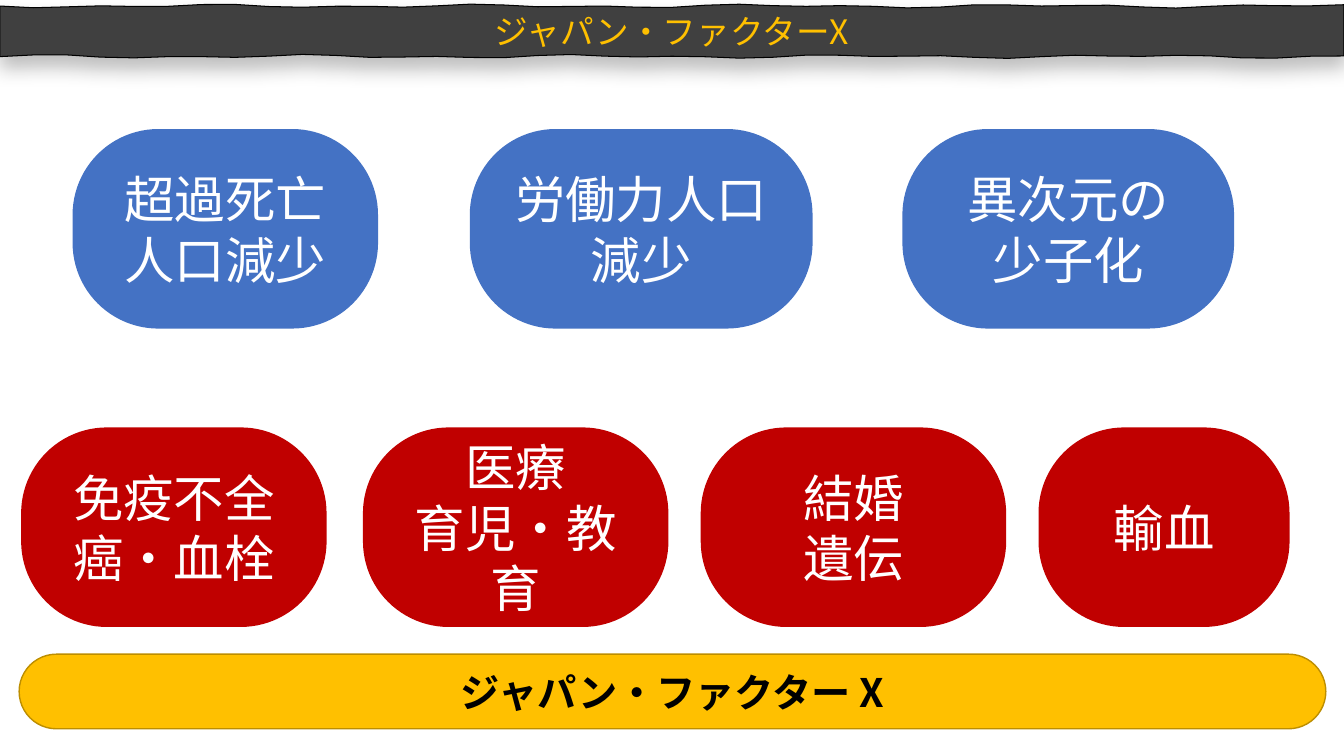
from math import sin

from lxml import etree
from pptx import Presentation
from pptx.dml.color import RGBColor
from pptx.enum.shapes import MSO_SHAPE
from pptx.enum.text import MSO_ANCHOR, PP_ALIGN
from pptx.oxml.ns import qn
from pptx.util import Inches, Pt

ROUNDED = MSO_SHAPE.ROUNDED_RECTANGLE
MIDDLE = MSO_ANCHOR.MIDDLE
CENTER = PP_ALIGN.CENTER

BLUE = RGBColor(0x44, 0x72, 0xC4)
RED = RGBColor(0xC0, 0x00, 0x00)
GOLD = RGBColor(0xFF, 0xC0, 0x00)
DARK_GOLD = RGBColor(0xBD, 0x8E, 0x00)
CHARCOAL = RGBColor(0x40, 0x40, 0x40)
BLACK = RGBColor(0x00, 0x00, 0x00)
WHITE = RGBColor(0xFF, 0xFF, 0xFF)
FONT = "Noto Sans CJK JP"

# Content: each row has a top, a colour and cards of (left, width, lines)
TITLE = "ジャパン・ファクターX"
FOOTER = "ジャパン・ファクター X"
ROWS = [
    (1.28, BLUE, [
        (0.72, 3.03, ["超過死亡", "人口減少"]),
        (4.66, 3.4, ["労働力人口減少"]),
        (8.95, 3.29, ["異次元の", "少子化"]),
    ]),
    (4.24, RED, [
        (0.21, 3.03, ["免疫不全", "癌・血栓"]),
        (3.6, 3.03, ["医療", "育児・教育"]),
        (6.95, 3.03, ["結婚", "遺伝"]),
        (10.3, 2.49, ["輸血"]),
    ]),
]
PAGE_WIDTH, PAGE_HEIGHT = 13.33, 7.5
CARD_HEIGHT = 1.98
BANNER_TOP, BANNER_BOTTOM = 0.06, 0.56
BANNER_STEPS = 40
UNITS_PER_INCH = 1000  # the outline is stored in whole units


def write_lines(shape, lines, size, color, bold=False):
    frame = shape.text_frame
    frame.word_wrap = True
    frame.vertical_anchor = MIDDLE
    for index, line in enumerate(lines):
        para = frame.add_paragraph() if index else frame.paragraphs[0]
        para.alignment = CENTER
        span = para.add_run()
        span.text = line
        span.font.size = Pt(size)
        span.font.bold = bold
        span.font.name = FONT
        span.font.color.rgb = color
        east_asian = etree.SubElement(span.font._element, qn("a:ea"))
        east_asian.set("typeface", FONT)


def paint(shape, fill, line=None, width=1):
    shape.shadow.inherit = False
    shape.fill.solid()
    shape.fill.fore_color.rgb = fill
    if line is None:
        shape.line.fill.background()
    else:
        shape.line.color.rgb = line
        shape.line.width = Pt(width)


def add_rounded(page, left, top, width, height, roundness, *colors):
    box = page.shapes.add_shape(
        ROUNDED, Inches(left), Inches(top), Inches(width), Inches(height))
    box.adjustments[0] = roundness
    paint(box, *colors)
    return box


def wavy_edge(level, phase):
    """Points of a rough edge running from left to right."""
    points = []
    for step in range(BANNER_STEPS + 1):
        x = PAGE_WIDTH * step / BANNER_STEPS
        wave = sin(5 * x + phase) + sin(2.3 * x + 2 * phase)
        y = level + 0.01 * wave
        points.append((round(x * UNITS_PER_INCH), round(y * UNITS_PER_INCH)))
    return points


def add_banner(page):
    outline = wavy_edge(BANNER_TOP, 0) + wavy_edge(BANNER_BOTTOM, 2)[::-1]
    builder = page.shapes.build_freeform(
        *outline[0], scale=Inches(1) / UNITS_PER_INCH)
    builder.add_line_segments(outline[1:], close=True)
    banner = builder.convert_to_shape()
    paint(banner, CHARCOAL, BLACK, 0.75)
    # Soft shadow below the banner
    effects = banner._element.spPr.find(qn("a:effectLst"))
    shadow = etree.SubElement(
        effects, qn("a:outerShdw"), blurRad=str(Inches(0.2)),
        dist=str(Inches(0.1)), dir="5400000", rotWithShape="0")
    tint = etree.SubElement(shadow, qn("a:srgbClr"), val="000000")
    etree.SubElement(tint, qn("a:alpha"), val="25000")
    write_lines(banner, [TITLE], 24, GOLD)


def main():
    deck = Presentation()
    deck.slide_width, deck.slide_height = Inches(PAGE_WIDTH), Inches(PAGE_HEIGHT)
    page = deck.slides.add_slide(deck.slide_layouts[6])

    # Cards
    for top, fill, cards in ROWS:
        for left, width, lines in cards:
            card = add_rounded(page, left, top, width, CARD_HEIGHT, 0.43, fill)
            write_lines(card, lines, 36, WHITE)

    # Title banner and footer bar
    add_banner(page)
    footer = add_rounded(page, 0.19, 6.49, 12.96, 0.74, 0.5, GOLD, DARK_GOLD)
    write_lines(footer, [FOOTER], 28, BLACK, bold=True)

    deck.save("out.pptx")


if __name__ == "__main__":
    main()
